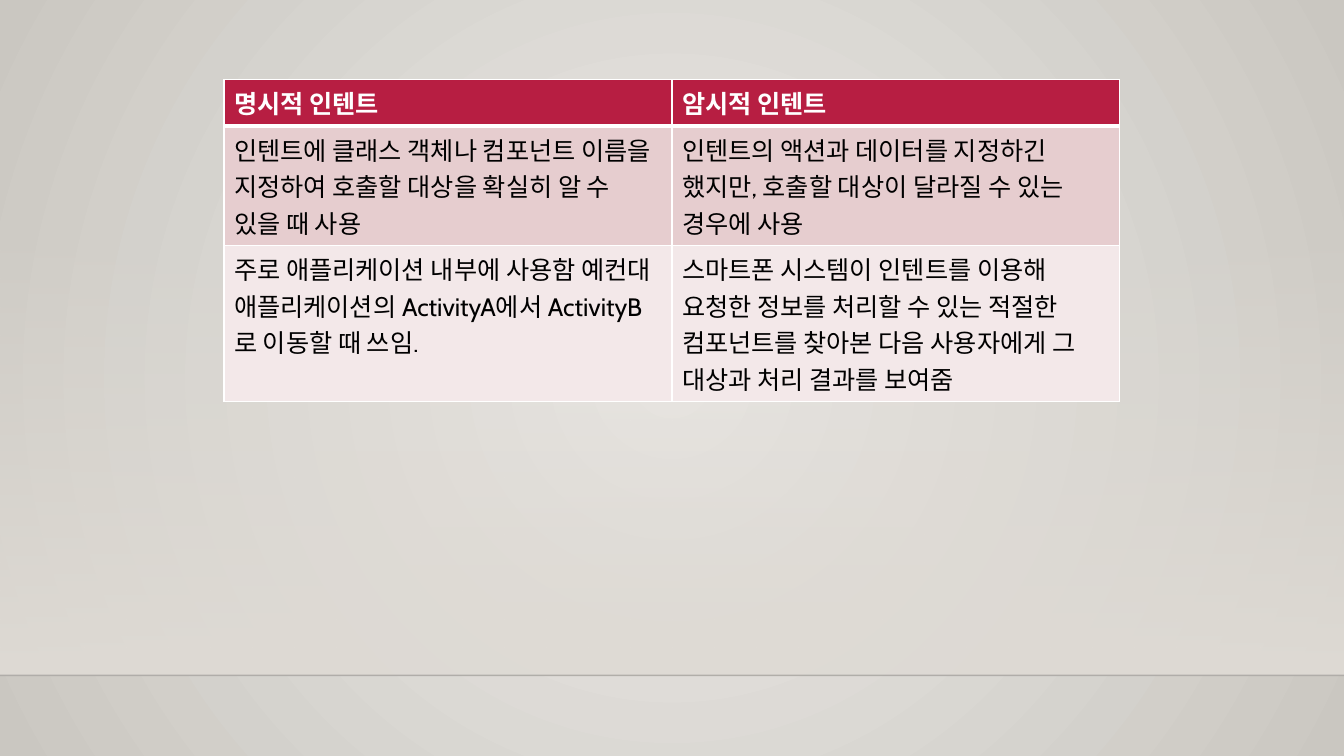
import dataclasses
import typing

import lxml.etree
import pptx
import pptx.dml.color
import pptx.enum.shapes
import pptx.oxml
import pptx.oxml.ns
import pptx.util

Pt = pptx.util.Pt
qn = pptx.oxml.ns.qn

COLORS = {
    "glow": "ECEAE7", "edge": "CAC7C1", "wall": "DFDBD5", "floor": "000001",
    "header": "B71E42", "first": "E6CDCF", "second": "F3E8E9",
    "white": "FFFFFF", "black": "000000",
}
FONT = "Cabin"
SLIDE_WIDTH, SLIDE_HEIGHT = Pt(960), Pt(540)
WALL_TOP, FLOOR_TOP = Pt(159), Pt(482.4)
TABLE_LEFT, TABLE_TOP, COLUMN_WIDTH = Pt(160), Pt(56.8), Pt(320)


@dataclasses.dataclass(frozen=True)
class ComparisonRow:
    """One row comparing explicit and implicit intents."""
    explicit: str
    implicit: str
    height: float
    fill: str
    text: str = "black"
    bold: bool = False
    bottom_border: float = 1


ROWS = [
    ComparisonRow("명시적 인텐트", "암시적 인텐트", 33, "header", "white", True, 3),
    ComparisonRow(
        "인텐트에 클래스 객체나 컴포넌트 이름을 지정하여 호출할 대상을 확실히 알 수 있을 때 사용",
        "인텐트의 액션과 데이터를 지정하긴 했지만, 호출할 대상이 달라질 수 있는 경우에 사용",
        85, "first"),
    ComparisonRow(
        "주로 애플리케이션 내부에 사용함 예컨대 애플리케이션의 ActivityA에서 ActivityB로 이동할 때 쓰임.",
        "스마트폰 시스템이 인텐트를 이용해 요청한 정보를 처리할 수 있는 적절한 컴포넌트를 "
        "찾아본 다음 사용자에게 그 대상과 처리 결과를 보여줌",
        111, "second"),
]


def rgb(name: str) -> pptx.dml.color.RGBColor:
    """Look up a named colour."""
    return pptx.dml.color.RGBColor.from_string(COLORS[name])


def add_child(parent: typing.Any, tag: str, **attributes: str) -> typing.Any:
    """Append an element to an XML parent."""
    return lxml.etree.SubElement(parent, qn(tag), attributes)


def set_gradient(fill: typing.Any, start: str, end: str) -> None:
    """Give a fill a two-stop gradient running from 0 to 100 percent."""
    fill.gradient()
    for stop, color, position in zip(fill.gradient_stops, (start, end), (0, 1)):
        stop.color.rgb = rgb(color)
        stop.position = position


def paint_background(slide: typing.Any) -> None:
    """Paint a circular glow spreading from the slide centre."""
    set_gradient(slide.background.fill, "glow", "edge")
    gradient = next(slide.element.iter(qn("a:gradFill")))
    gradient.remove(gradient.find(qn("a:lin")))
    circle = add_child(gradient, "a:path", path="circle")
    add_child(circle, "a:fillToRect", l="50000", t="50000", r="50000", b="50000")


def add_wall(slide: typing.Any) -> None:
    """Add the wall shade, fading in downwards, and the floor line."""
    wall = slide.shapes.add_shape(
        pptx.enum.shapes.MSO_SHAPE.RECTANGLE,
        0, WALL_TOP, SLIDE_WIDTH, FLOOR_TOP - WALL_TOP)
    wall.shadow.inherit = False
    wall.line.fill.background()
    set_gradient(wall.fill, "wall", "wall")
    wall.fill.gradient_angle = 270
    add_child(next(wall.element.iter(qn("a:srgbClr"))), "a:alpha", val="0")

    floor = slide.shapes.add_connector(
        pptx.enum.shapes.MSO_CONNECTOR.STRAIGHT,
        0, FLOOR_TOP, SLIDE_WIDTH, FLOOR_TOP)
    floor.line.width = Pt(1)
    floor.line.color.rgb = rgb("floor")
    add_child(next(floor.element.iter(qn("a:srgbClr"))), "a:alpha", val="20000")
    add_child(floor.element.spPr, "a:effectLst")


def set_borders(cell: typing.Any, top: float, bottom: float) -> None:
    """Draw white borders round a cell, ahead of its fill in the XML."""
    properties = cell._tc.get_or_add_tcPr()
    for index, (side, width) in enumerate(
            {"L": 1, "R": 1, "T": top, "B": bottom}.items()):
        border = add_child(properties, f"a:ln{side}", w=str(int(Pt(width))))
        add_child(add_child(border, "a:solidFill"), "a:srgbClr", val=COLORS["white"])
        properties.insert(index, border)


def fill_cell(cell: typing.Any, text: str, row: ComparisonRow, top: float) -> None:
    """Write and format one cell."""
    cell.text_frame.text = text
    cell.fill.solid()
    cell.fill.fore_color.rgb = rgb(row.fill)
    set_borders(cell, top, row.bottom_border)
    font = cell.text_frame.paragraphs[0].runs[0].font
    font.name, font.size, font.bold = FONT, Pt(18), row.bold
    font.color.rgb = rgb(row.text)


def add_comparison(slide: typing.Any) -> None:
    """Add the table of explicit and implicit intents."""
    table = slide.shapes.add_table(
        len(ROWS), 2, TABLE_LEFT, TABLE_TOP, 2 * COLUMN_WIDTH,
        Pt(sum(row.height for row in ROWS))).table
    top = 1
    for index, row in enumerate(ROWS):
        table.rows[index].height = Pt(row.height)
        for column, text in enumerate((row.explicit, row.implicit)):
            fill_cell(table.cell(index, column), text, row, top)
        top = row.bottom_border


def main() -> None:
    """Build and save the slide."""
    presentation = pptx.Presentation()
    presentation.slide_width, presentation.slide_height = SLIDE_WIDTH, SLIDE_HEIGHT
    slide = presentation.slides.add_slide(presentation.slide_layouts[6])
    paint_background(slide)
    add_wall(slide)
    add_comparison(slide)
    presentation.save("out.pptx")


main()
